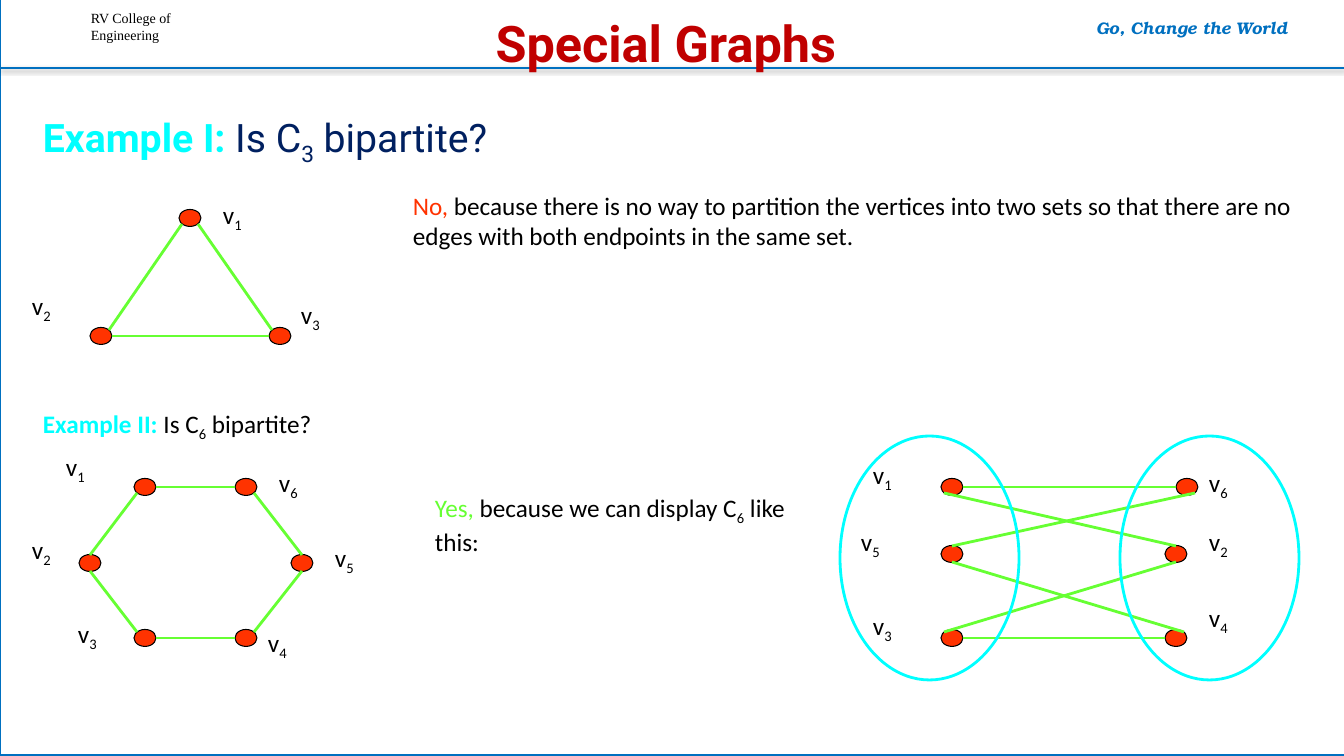
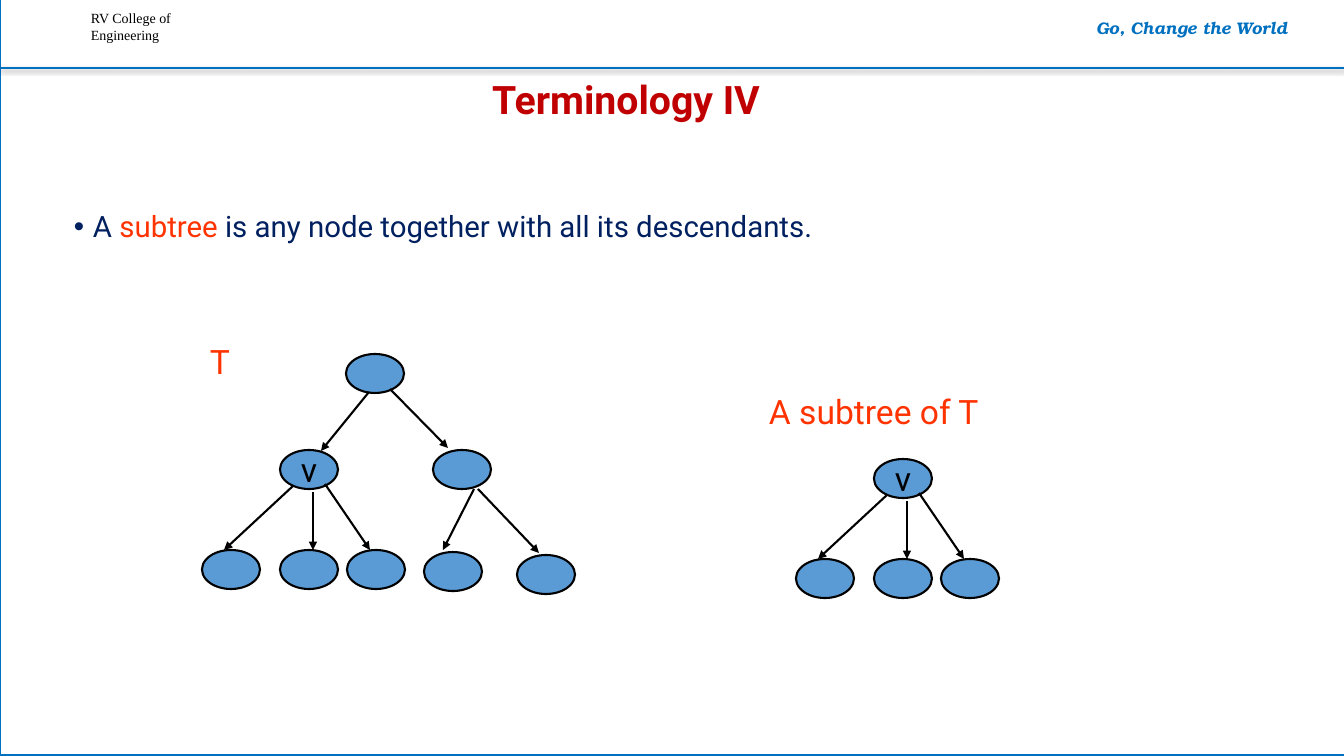
from dataclasses import dataclass

from lxml.etree import SubElement
from pptx import Presentation
from pptx.dml.color import RGBColor
from pptx.enum.shapes import MSO_CONNECTOR as Connector, MSO_SHAPE as Preset
from pptx.enum.text import MSO_ANCHOR as Anchor, PP_ALIGN as Align
from pptx.oxml.ns import qn
from pptx.util import Emu, Pt


@dataclass(frozen=True)
class Theme:
    white: str = "FFFFFF"
    black: str = "000000"
    blue: str = "0070C0"
    navy: str = "002060"
    crimson: str = "C00000"
    cyan: str = "00FFFF"
    green: str = "66FF33"
    red: str = "FF3300"
    node: str = "5B9BD5"
    heading_font: str = "Roboto"
    body_font: str = "Calibri"
    college_font: str = "Times New Roman"
    motto_font: str = "TeX Gyre Bonum"
    college: int = 10
    motto: int = 12
    body: int = 18
    bullet: int = 21
    tree: int = 24
    heading: int = 28
    title: int = 36


THEME = Theme()
EMU_PER_PX = 914400 / 100.8
SLIDE_SIZE = (1344, 756)
VERTEX_SIZE = (22, 17)
NODE_SIZE = (58, 39)
SET_SIZE = (179, 244)
LABEL_SIZE = (101, 40)

# Points on the rim of a vertex, as offsets from its centre
PORTS = {
    "N": (0, -8), "S": (0, 8), "E": (11, 0), "W": (-11, 0),
    "NE": (8, -6), "NW": (-8, -6), "SE": (8, 6), "SW": (-8, 6),
}

# Edges join (vertex, port) to (vertex, port)
C3_EDGES = [(2, "NE", 1, "SW"), (2, "E", 3, "W"), (3, "NW", 1, "SE")]
C6_EDGES = [
    (1, "SW", 2, "N"), (2, "S", 3, "NW"), (3, "E", 4, "W"),
    (4, "NE", 5, "S"), (5, "N", 6, "SE"), (6, "W", 1, "E"),
]

# Vertex number: centre in the graph's box, label offset from the centre
TRIANGLE = {
    1: (100, 8, 23, -24), 2: (11, 126, -79, -51), 3: (190, 126, 11, -42),
}
HEXAGON = {
    1: (66, 8, -89, -41), 2: (11, 84, -68, -34), 3: (66, 159, -77, -25),
    4: (167, 159, 12, -16), 5: (223, 84, 23, -26), 6: (167, 8, 23, -25),
}
TWO_SETS = {
    1: (112, 51, -89, -33), 5: (112, 118, -101, -33), 3: (112, 202, -89, -33),
    6: (347, 51, 12, -25), 2: (336, 118, 23, -33), 4: (336, 202, 23, -41),
}


def px(length):
    return Emu(round(length * EMU_PER_PX))


def rgb(color):
    return RGBColor.from_string(color)


# Basic parts
def write(paragraph, runs, size, font):
    """Runs are (text, colour, style); style may hold bold, italic, sub."""
    for text, color, *style in runs:
        run = paragraph.add_run()
        run.text = text
        run.font.size = Pt(size)
        run.font.name = font
        run.font.color.rgb = rgb(color)
        run.font.bold = "bold" in style
        run.font.italic = "italic" in style
        if "sub" in style:
            run._r.get_or_add_rPr().set("baseline", "-25000")


def add_text(slide, box, paragraphs, size, font, align=Align.LEFT, wrap=True):
    frame = slide.shapes.add_textbox(*map(px, box)).text_frame
    frame.word_wrap = wrap
    for index, runs in enumerate(paragraphs):
        paragraph = frame.add_paragraph() if index else frame.paragraphs[0]
        paragraph.alignment = align
        write(paragraph, runs, size, font)
    return frame


def add_outline(slide, preset, box, line, weight, fill=None):
    shape = slide.shapes.add_shape(preset, *map(px, box))
    shape.shadow.inherit = False
    shape.line.color.rgb = rgb(line)
    shape.line.width = Pt(weight)
    if fill:
        shape.fill.solid()
        shape.fill.fore_color.rgb = rgb(fill)
    else:
        shape.fill.background()
    return shape


def add_line(slide, start, end, color, weight, arrow=False):
    line = slide.shapes.add_connector(Connector.STRAIGHT, *map(px, (*start, *end)))
    line.line.color.rgb = rgb(color)
    line.line.width = Pt(weight)
    properties = line._element.spPr
    if arrow:
        SubElement(properties.find(qn("a:ln")), qn("a:tailEnd"), type="triangle")
    return SubElement(properties, qn("a:effectLst"))


def set_title(slide, text, box, size):
    title = slide.shapes.title
    title.left, title.top, title.width, title.height = map(px, box)
    frame = title.text_frame
    frame.word_wrap = True
    frame.vertical_anchor = Anchor.MIDDLE
    paragraph = frame.paragraphs[0]
    paragraph.alignment = Align.CENTER
    paragraph.line_spacing = 0.9
    write(paragraph, [(text, THEME.crimson, "bold")], size, THEME.heading_font)


# Shared frame and header
def add_frame(slide):
    """Draw the frame on a slide, then hand it to that slide's layout."""
    tree = slide.shapes._spTree
    before = list(tree)
    width, height = SLIDE_SIZE
    add_outline(slide, Preset.RECTANGLE, (0, -1, width + 5, height),
                THEME.blue, 2, THEME.white)
    add_text(slide, (81, 5, 148, 44),
             [[("RV College of", THEME.black)], [("Engineering", THEME.black)]],
             THEME.college, THEME.college_font)
    effects = add_line(slide, (0, 68), (width, 68), THEME.blue, 2)
    shadow = SubElement(effects, qn("a:outerShdw"), blurRad=str(Pt(3.1)),
                        dist=str(Pt(1.6)), dir="5400000", rotWithShape="0")
    color = SubElement(shadow, qn("a:srgbClr"), val=THEME.black)
    SubElement(color, qn("a:alpha"), val="38000")
    add_text(slide, (1041, 13, 302, 30),
             [[("Go, Change the World", THEME.blue, "bold", "italic")]],
             THEME.motto, THEME.motto_font, Align.CENTER)

    layout_tree = slide.slide_layout.shapes._spTree
    parts = [element for element in tree if element not in before]
    for index, element in enumerate(parts):
        element.xpath(".//p:cNvPr")[0].set("id", str(100 + index))
        layout_tree.insert(2 + index, element)


# Graphs
def add_graph(slide, left, top, vertices, edges):
    width, height = VERTEX_SIZE
    centers = {}
    for number, (x, y, label_x, label_y) in vertices.items():
        center_x, center_y = centers[number] = (left + x, top + y)
        add_outline(slide, Preset.FLOWCHART_CONNECTOR,
                    (center_x - width / 2, center_y - height / 2, width, height),
                    THEME.black, 0.75, THEME.red)
        add_text(slide, (center_x + label_x, center_y + label_y, *LABEL_SIZE),
                 [[("v", THEME.black), (str(number), THEME.black, "sub")]],
                 THEME.body, THEME.body_font)

    def rim(number, port):
        return [c + offset for c, offset in zip(centers[number], PORTS[port])]

    for start, start_port, end, end_port in edges:
        add_line(slide, rim(start, start_port), rim(end, end_port), THEME.green, 2)


def add_two_sets(slide, left, top):
    add_graph(slide, left, top, TWO_SETS, C6_EDGES)
    for offset in (0, 280):
        add_outline(slide, Preset.OVAL, (left + offset, top, *SET_SIZE),
                    THEME.cyan, 2)


# Trees
def add_nodes(slide, left, top, corners, arrows):
    nodes = [add_outline(slide, Preset.OVAL, (left + x, top + y, *NODE_SIZE),
                         THEME.black, 1.5, THEME.node) for x, y in corners]
    for x1, y1, x2, y2 in arrows:
        add_line(slide, (left + x1, top + y1), (left + x2, top + y2),
                 THEME.black, 1.5, arrow=True)
    return nodes


def add_subtree(slide, left, top):
    root, *_ = add_nodes(
        slide, left, top,
        [(78, 0), (0, 100), (78, 100), (145, 100)],
        [(91, 36, 22, 100), (111, 42, 111, 100), (123, 34, 168, 100)])
    frame = root.text_frame
    frame.word_wrap = False
    frame.vertical_anchor = Anchor.MIDDLE
    frame.paragraphs[0].alignment = Align.CENTER
    write(frame.paragraphs[0], [("v", THEME.black)], THEME.tree, THEME.heading_font)


def add_tree(slide, left, top):
    add_nodes(
        slide, left, top,
        [(144, 0), (231, 96), (222, 198), (315, 201)],
        [(167, 38, 119, 97), (188, 35, 246, 94),
         (272, 135, 241, 196), (276, 135, 337, 199)])
    add_subtree(slide, left, top + 96)


# Slides
def build_special_graphs(slide):
    set_title(slide, "Special Graphs", (33, 0, 1266, 93), THEME.title)
    question = add_text(
        slide, (33, 109, 728, 68),
        [[("Example I:", THEME.cyan, "bold"), (" Is C", THEME.navy),
          ("3", THEME.navy, "sub"), (" bipartite?", THEME.navy)]],
        THEME.heading, THEME.heading_font)
    question.paragraphs[0].line_spacing = 0.9
    add_graph(slide, 90, 210, TRIANGLE, C3_EDGES)

    notes = [
        ((403, 185, 907, 143),
         [("No,", THEME.red),
          (" because there is no way to partition the vertices into two sets so "
           "that there are no edges with both endpoints in the same set.",
           THEME.black)]),
        ((33, 403, 773, 67),
         [("Example II:", THEME.cyan, "bold"), (" Is C", THEME.black),
          ("6", THEME.black, "sub"), (" bipartite?", THEME.black)]),
        ((425, 487, 381, 160),
         [("Yes, ", THEME.green), ("because we can display C", THEME.black),
          ("6", THEME.black, "sub"), (" like this:", THEME.black)]),
    ]
    for box, runs in notes:
        add_text(slide, box, [runs], THEME.body, THEME.body_font)
    add_graph(slide, 79, 479, HEXAGON, C6_EDGES)
    add_two_sets(slide, 840, 436)


def build_terminology(slide):
    set_title(slide, "Terminology IV", (174, 81, 904, 41), THEME.heading)
    definition = add_text(slide, (64, 207, 1269, 60), [[]],
                          THEME.bullet, THEME.heading_font).paragraphs[0]
    definition.line_spacing = 0.9
    properties = definition._p.get_or_add_pPr()
    properties.set("marL", str(px(19)))
    properties.set("indent", str(px(-19)))
    SubElement(properties, qn("a:buFont"), typeface="Arial")
    SubElement(properties, qn("a:buChar"), char="•")
    write(definition,
          [("A ", THEME.navy), ("subtree", THEME.red),
           (" is any node together with all its descendants.", THEME.navy)],
          THEME.bullet, THEME.heading_font)

    add_tree(slide, 202, 354)
    add_subtree(slide, 796, 459)
    for box, text in [((200, 336, 40, 51), "T"),
                      ((759, 386, 233, 51), "A subtree of T")]:
        add_text(slide, box, [[(text, THEME.red)]],
                 THEME.tree, THEME.heading_font, wrap=False)


def main():
    presentation = Presentation()
    presentation.slide_width, presentation.slide_height = map(px, SLIDE_SIZE)
    title_only = presentation.slide_layouts[5]
    for index, build in enumerate((build_special_graphs, build_terminology)):
        slide = presentation.slides.add_slide(title_only)
        if index == 0:
            add_frame(slide)
        build(slide)
    presentation.save("out.pptx")


if __name__ == "__main__":
    main()
